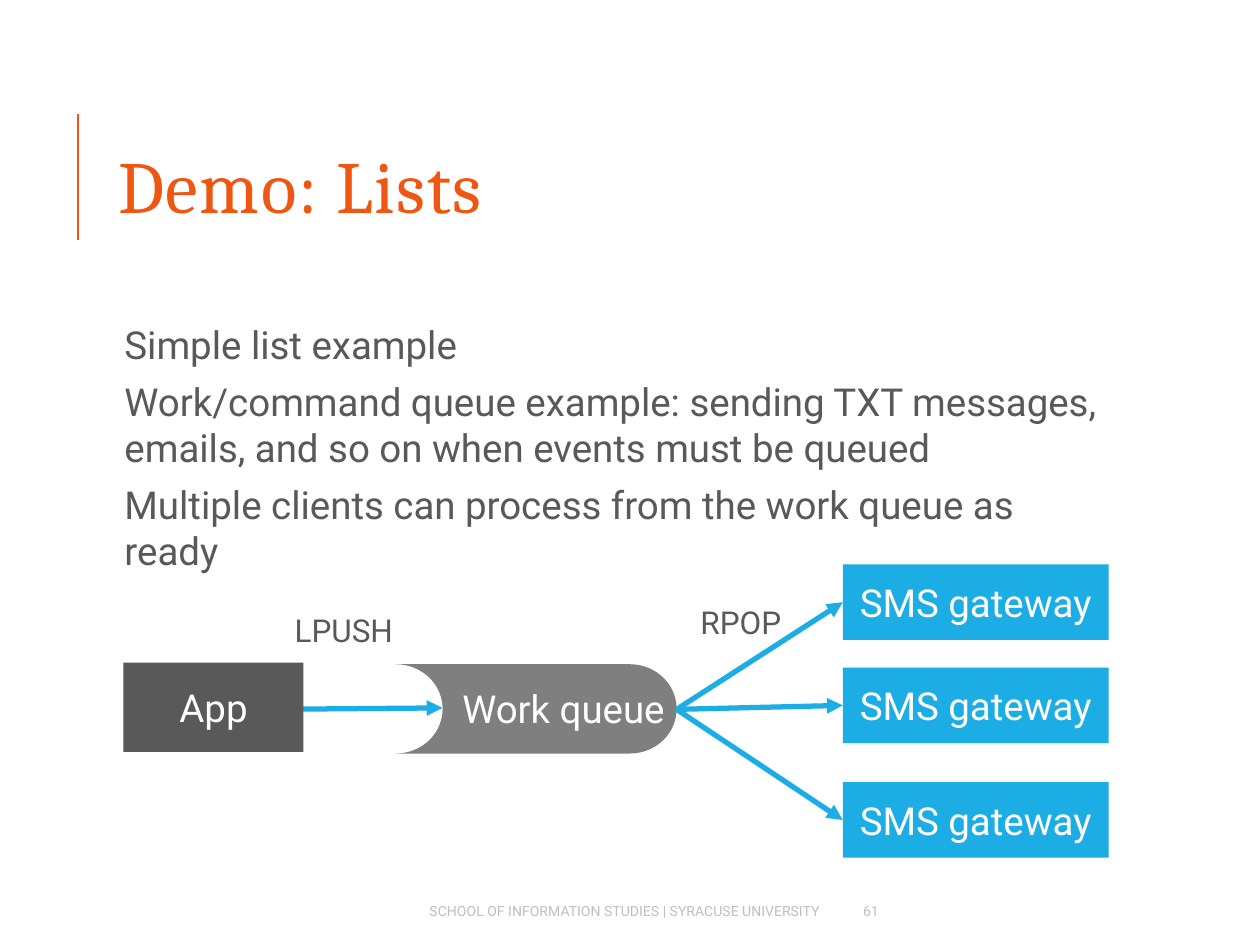
import pptx
import pptx.util
import pptx.dml.color
import pptx.enum.shapes
import pptx.enum.text
import pptx.oxml.ns
import lxml.etree

Cm, Pt = pptx.util.Cm, pptx.util.Pt
SHAPE = pptx.enum.shapes.MSO_SHAPE
ALIGN = pptx.enum.text.PP_ALIGN
ANCHOR = pptx.enum.text.MSO_ANCHOR

THEME = {
    "rust": "EE5612", "blue": "1CADE4", "dark": "595959",
    "gray": "7F7F7F", "pale": "BFBFBF", "white": "FFFFFF",
    "head": "Cambria", "body": "Roboto",
    "title": 42, "text": 22, "label": 18, "foot": 8,
}

TITLE = "Demo: Lists"
POINTS = [
    "Simple list example",
    "Work/command queue example: sending TXT messages, emails, and so on when events must be queued",
    "Multiple clients can process from the work queue as ready",
]
APP = ("App", (2.49, 13.36, 3.63, 1.8))
QUEUE = (7.98, 13.39, 5.66, 1.8)
GATE = "SMS gateway"
GATE_LEFT, GATE_WIDE, GATE_HIGH = 16.99, 5.36, 1.52
GATE_TOPS = [11.38, 13.46, 15.77]
HUB = (13.64, 14.3)
LABELS = [
    ("Work queue", (9.07, 13.69, 4.42, 1.19), "text", "white"),
    ("LPUSH", (5.69, 12.19, 2.31, 1.02), "label", "dark"),
    ("RPOP", (13.87, 12.04, 2.03, 1.02), "label", "dark"),
]
FOOT = [
    ("SCHOOL OF INFORMATION STUDIES | SYRACUSE UNIVERSITY", (4.8, 17.98, 11.99, 0.76), ALIGN.RIGHT),
    ("61", (17.15, 17.98, 2.31, 0.76), ALIGN.LEFT),
]


def tint(name):
    return pptx.dml.color.RGBColor.from_string(THEME[name])


def cms(box):
    return [Cm(part) for part in box]


def write(para, text, size, color, face="body", align=ALIGN.LEFT):
    para.alignment = align
    run = para.add_run()
    run.text = text
    run.font.size = Pt(THEME[size])
    run.font.name = THEME[face]
    run.font.color.rgb = tint(color)
    return run


def add_text(slide, box, lines, size, color, align=ALIGN.LEFT, anchor=ANCHOR.TOP):
    frame = slide.shapes.add_textbox(*cms(box)).text_frame
    frame.word_wrap = True
    frame.vertical_anchor = anchor
    for num, line in enumerate(lines):
        para = frame.add_paragraph() if num else frame.paragraphs[0]
        write(para, line, size, color, align=align)
    return frame


def add_block(slide, kind, box, fill, text=""):
    shape = slide.shapes.add_shape(kind, *cms(box))
    shape.shadow.inherit = False
    shape.fill.solid()
    shape.fill.fore_color.rgb = tint(fill)
    shape.line.fill.background()
    if text:
        frame = shape.text_frame
        frame.vertical_anchor = ANCHOR.MIDDLE
        write(frame.paragraphs[0], text, "text", "white", align=ALIGN.CENTER)
    return shape


def add_line(slide, start, end, color, width, arrow=True):
    line = slide.shapes.add_connector(
        pptx.enum.shapes.MSO_CONNECTOR.STRAIGHT, *cms(start + end))
    line.line.color.rgb = tint(color)
    line.line.width = Pt(width)
    if arrow:
        stroke = line.line._get_or_add_ln()
        lxml.etree.SubElement(stroke, pptx.oxml.ns.qn("a:tailEnd"), type="triangle")
    lxml.etree.SubElement(line._element.spPr, pptx.oxml.ns.qn("a:effectLst"))


def add_title(slide):
    title = slide.shapes.title
    title.left, title.top, title.width, title.height = cms((2.13, 1.63, 20.24, 4.17))
    frame = title.text_frame
    frame.vertical_anchor = ANCHOR.MIDDLE
    run = write(frame.paragraphs[0], TITLE, "title", "rust", "head")
    run.font._element.set("spc", "100")


def add_points(slide):
    frame = add_text(slide, (2.13, 6.35, 20.24, 4.45), POINTS, "text", "dark")
    frame.margin_left = frame.margin_right = Cm(0.13)
    frame.margin_top = frame.margin_bottom = Cm(0.13)
    for num, para in enumerate(frame.paragraphs):
        para._p.get_or_add_pPr().set("marL", str(Cm(0.25)))
        if num:
            para.space_before = Pt(6)


def add_flow(slide):
    add_line(slide, (5.41, 14.3), (8.92, 14.27), "blue", 3)
    add_block(slide, SHAPE.RECTANGLE, APP[1], "dark", APP[0])
    for top in GATE_TOPS:
        box = (GATE_LEFT, top, GATE_WIDE, GATE_HIGH)
        add_block(slide, SHAPE.RECTANGLE, box, "blue", GATE)
    add_block(slide, SHAPE.FLOWCHART_STORED_DATA, QUEUE, "gray").rotation = 180
    for top in GATE_TOPS:
        add_line(slide, HUB, (GATE_LEFT, top + GATE_HIGH / 2), "blue", 3)
    for text, box, size, color in LABELS:
        add_text(slide, box, [text], size, color).margin_right = 0


def main():
    deck = pptx.Presentation()
    deck.slide_width, deck.slide_height = Cm(25.4), Cm(19.05)
    slide = deck.slides.add_slide(deck.slide_layouts[5])
    add_line(slide, (1.57, 4.83), (1.57, 2.29), "rust", 1.5, arrow=False)
    add_title(slide)
    add_points(slide)
    for text, box, align in FOOT:
        add_text(slide, box, [text], "foot", "pale", align, ANCHOR.MIDDLE)
    add_flow(slide)
    deck.save("out.pptx")


if __name__ == "__main__":
    main()
